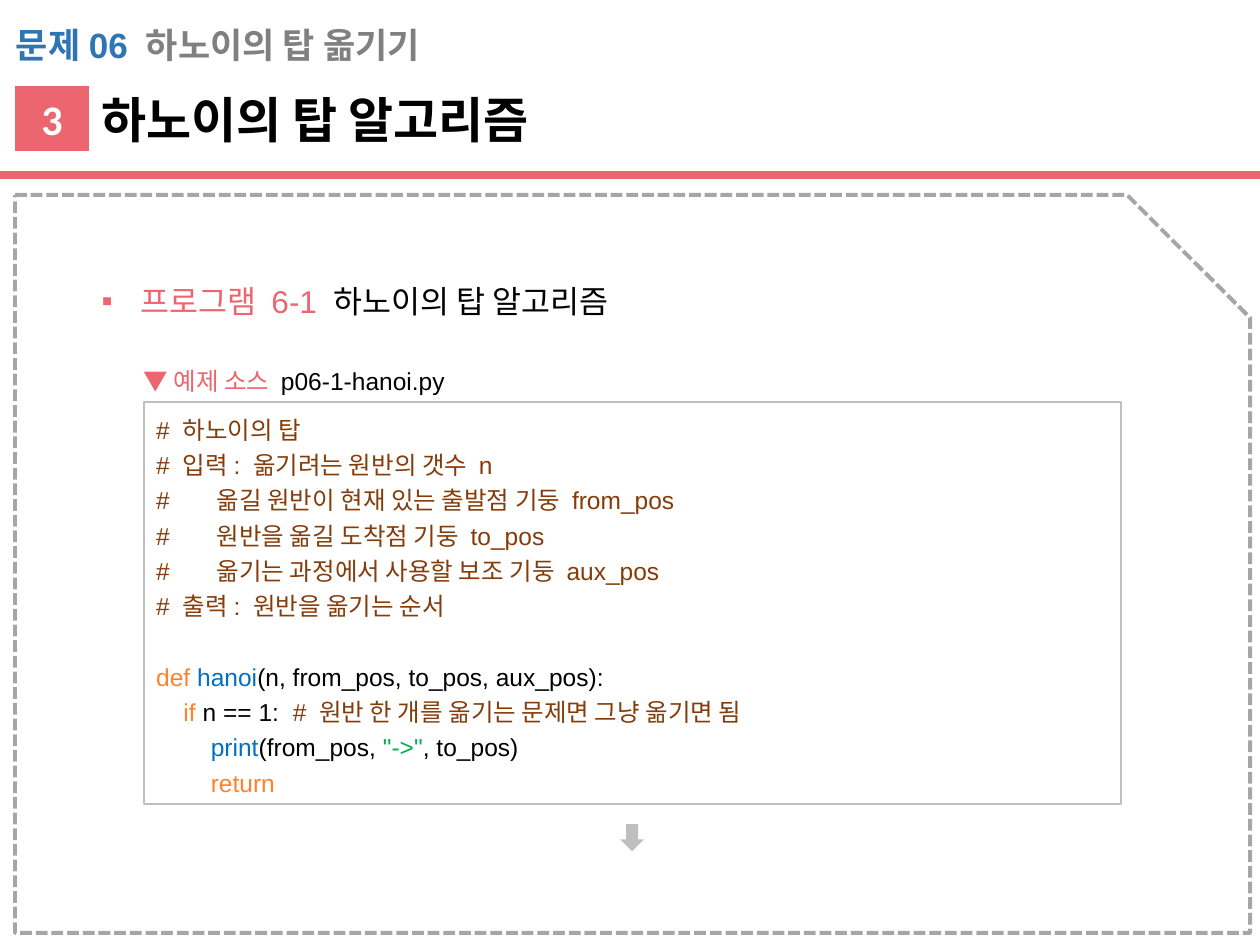
from lxml import etree
from pptx import Presentation
from pptx.dml.color import RGBColor
from pptx.enum.dml import MSO_LINE
from pptx.enum.shapes import MSO_CONNECTOR, MSO_SHAPE
from pptx.enum.text import MSO_ANCHOR, PP_ALIGN
from pptx.oxml.ns import qn
from pptx.util import Pt

SNIP = MSO_SHAPE.SNIP_1_RECTANGLE
RECT = MSO_SHAPE.RECTANGLE
PROCESS = MSO_SHAPE.FLOWCHART_PROCESS
ARROW = MSO_SHAPE.DOWN_ARROW
STRAIGHT = MSO_CONNECTOR.STRAIGHT
DASH = MSO_LINE.SQUARE_DOT
MIDDLE = MSO_ANCHOR.MIDDLE
LEFT = PP_ALIGN.LEFT
CENTER = PP_ALIGN.CENTER

CORAL = RGBColor(0xEB, 0x66, 0x6E)
BLUE = RGBColor(0x2E, 0x75, 0xB6)
GRAY = RGBColor(0x80, 0x80, 0x80)
EDGE = RGBColor(0xA6, 0xA6, 0xA6)
SILVER = RGBColor(0xBF, 0xBF, 0xBF)
BLACK = RGBColor(0, 0, 0)
WHITE = RGBColor(0xFF, 0xFF, 0xFF)
BROWN = RGBColor(0x84, 0x3C, 0x0B)
ORANGE = RGBColor(0xFF, 0x82, 0x2D)
AZURE = RGBColor(0x00, 0x70, 0xC0)
GREEN = RGBColor(0x00, 0xB0, 0x50)

NOTES = [
    "# 하노이의 탑",
    "# 입력: 옮기려는 원반의 갯수 n",
    "#      옮길 원반이 현재 있는 출발점 기둥 from_pos",
    "#      원반을 옮길 도착점 기둥 to_pos",
    "#      옮기는 과정에서 사용할 보조 기둥 aux_pos",
    "# 출력: 원반을 옮기는 순서",
]
CODE = [[(note, BROWN)] for note in NOTES] + [
    [],
    [("def ", ORANGE), ("hanoi", AZURE),
     ("(n, from_pos, to_pos, aux_pos):", BLACK)],
    [("    ", BLACK), ("if", ORANGE), (" n == 1:  ", BLACK),
     ("# 원반 한 개를 옮기는 문제면 그냥 옮기면 됨", BROWN)],
    [("        ", BLACK), ("print", AZURE), ("(from_pos, ", BLACK),
     ('"->"', GREEN), (", to_pos)", BLACK)],
    [("        ", BLACK), ("return", ORANGE)],
]


def write(frame, lines, size, bold=False, font="Arial", align=LEFT, gap=1.0):
    frame.word_wrap = True
    for i, line in enumerate(lines):
        para = frame.add_paragraph() if i else frame.paragraphs[0]
        para.alignment = align
        para.line_spacing = gap
        for text, color in line:
            run = para.add_run()
            run.text = text
            run.font.name = font
            run.font.size = Pt(size)
            run.font.bold = bold
            run.font.color.rgb = color
        if not line:
            etree.SubElement(para._p, qn("a:endParaRPr"), sz=str(size * 100))


def add_text(slide, box, line, size, bold=False, gap=1.0):
    area = slide.shapes.add_textbox(*map(Pt, box))
    write(area.text_frame, [line], size, bold, gap=gap)
    return area.text_frame.paragraphs[0]


def add_bullet(para, mark, color, indent):
    props = para._p.get_or_add_pPr()
    props.set("marL", str(Pt(indent)))
    props.set("indent", str(-Pt(indent)))
    tint = etree.SubElement(props, qn("a:buClr"))
    etree.SubElement(tint, qn("a:srgbClr"), val=str(color))
    etree.SubElement(props, qn("a:buFont"), typeface="Arial")
    etree.SubElement(props, qn("a:buChar"), char=mark)


def add_shape(slide, kind, box, fill=None, line=None, width=1):
    shape = slide.shapes.add_shape(kind, *map(Pt, box))
    shape.shadow.inherit = False
    if fill is None:
        shape.fill.background()
    else:
        shape.fill.solid()
        shape.fill.fore_color.rgb = fill
    if line is None:
        shape.line.fill.background()
    else:
        shape.line.color.rgb = line
        shape.line.width = Pt(width)
    return shape


def add_rule(slide, top, width, color, weight):
    rule = slide.shapes.add_connector(STRAIGHT, 0, Pt(top), Pt(width), Pt(top))
    rule.line.color.rgb = color
    rule.line.width = Pt(weight)
    etree.SubElement(rule._element.spPr, qn("a:effectLst"))


def add_head(slide):
    add_rule(slide, 100, 720, CORAL, 4.5)
    add_text(slide, (2, 10, 680, 31.5),
             [("문제06 ", BLUE), ("하노이의 탑 옮기기", GRAY)], 20, True)
    badge = add_shape(slide, PROCESS, (8.6, 49, 42.4, 37.6), CORAL)
    badge.text_frame.vertical_anchor = MIDDLE
    write(badge.text_frame, [[("3", WHITE)]], 24, True, "Calibri", CENTER)
    add_text(slide, (51, 47.5, 663, 41),
             [("하노이의 탑 알고리즘", BLACK)], 28, True)


def add_code(slide):
    topic = add_text(slide, (51, 143.3, 631, 43),
                     [("프로그램 6-1 ", CORAL),
                      ("하노이의 탑 알고리즘", BLACK)], 18, gap=1.65)
    add_bullet(topic, "▪", CORAL, 22.5)
    panel = add_shape(slide, RECT, (82.2, 229.7, 558.3, 229.7), line=SILVER)
    panel.text_frame.vertical_anchor = MIDDLE
    write(panel.text_frame, CODE, 14, gap=1.2)
    add_text(slide, (75, 205.5, 246, 24.2),
             [("▼ 예제 소스 ", CORAL), ("p06-1-hanoi.py", BLACK)], 14)
    add_shape(slide, ARROW, (354.5, 470.9, 13.5, 15.6), SILVER)


def main():
    deck = Presentation()
    deck.slide_width, deck.slide_height = Pt(720), Pt(540)
    slide = deck.slides.add_slide(deck.slide_layouts[6])
    frame = add_shape(slide, SNIP, (8.6, 111.4, 705.8, 421.7),
                      line=EDGE, width=2.25)
    frame.line.dash_style = DASH
    add_head(slide)
    add_code(slide)
    deck.save("out.pptx")


if __name__ == "__main__":
    main()
